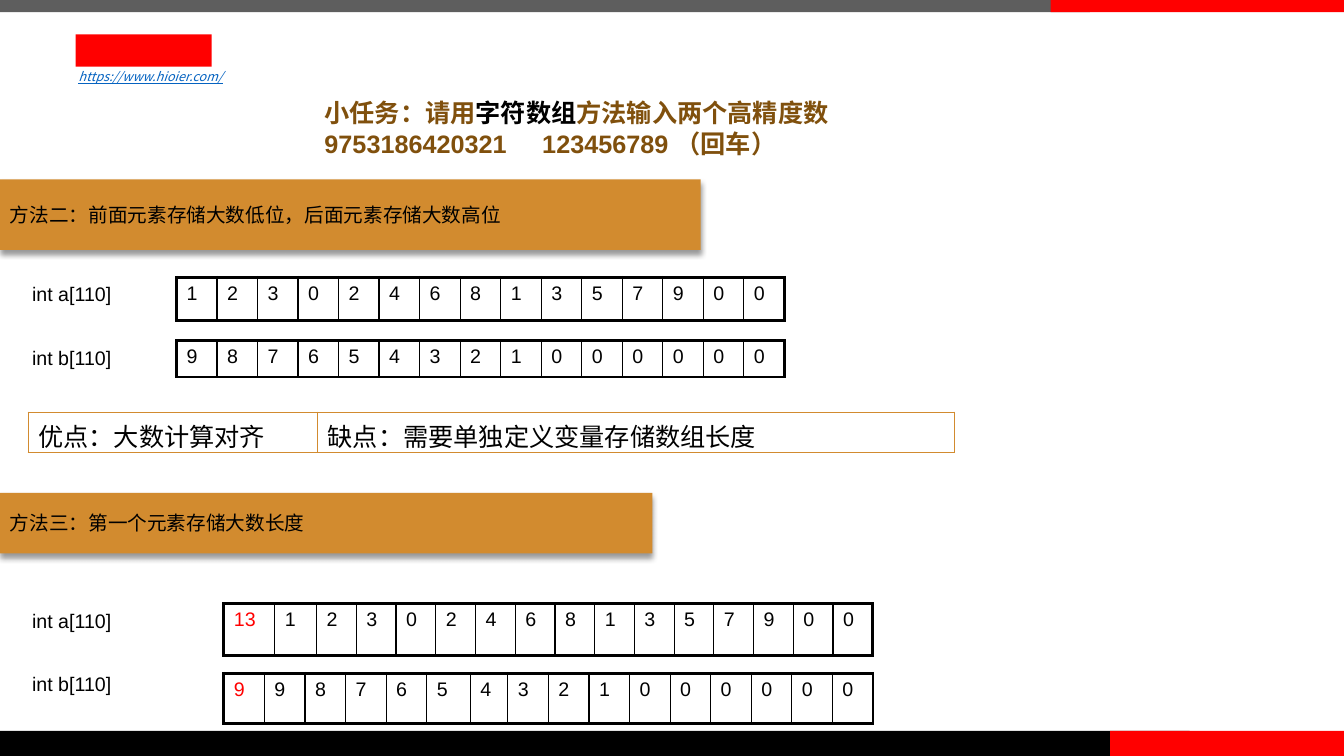
from lxml import etree
from pptx import Presentation
from pptx.dml.color import RGBColor
from pptx.enum.shapes import MSO_SHAPE
from pptx.enum.text import MSO_ANCHOR, PP_ALIGN
from pptx.oxml.ns import qn
from pptx.util import Inches, Pt

BLACK = RGBColor(0x00, 0x00, 0x00)
GRAY = RGBColor(0x5E, 0x5E, 0x5E)
RED = RGBColor(0xFF, 0x00, 0x00)
ORANGE = RGBColor(0xD2, 0x8B, 0x2F)
BROWN = RGBColor(0x80, 0x50, 0x0D)
LINK_BLUE = RGBColor(0x05, 0x63, 0xC1)
CJK_FONT = "Noto Sans CJK SC"

BODY = {"name": "Arial", "size": Pt(14)}
TASK = {"name": "Arial", "size": Pt(18), "bold": True}
COMPARE = {"name": "Arial", "size": Pt(18)}
BANNER = {"name": "Calibri", "size": Pt(14)}
LINK = {"name": CJK_FONT, "size": Pt(9), "italic": True, "underline": True}


def add_run(p, text, fmt, color=BLACK):
    r = p.add_run()
    r.text = text
    for key, value in fmt.items():
        setattr(r.font, key, value)
    r.font.color.rgb = color
    etree.SubElement(r.font._element, qn("a:ea"), typeface=CJK_FONT)


def add_text(s, box, text, fmt, color=BLACK):
    tf = s.shapes.add_textbox(*map(Inches, box)).text_frame
    tf.word_wrap = True
    add_run(tf.paragraphs[0], text, fmt, color)
    return tf


def add_bar(s, box, color):
    sp = s.shapes.add_shape(MSO_SHAPE.RECTANGLE, *map(Inches, box))
    sp.shadow.inherit = False
    sp.fill.solid()
    sp.fill.fore_color.rgb = color
    sp.line.fill.background()
    return sp


def add_banner(s, box, text):
    sp = add_bar(s, box, ORANGE)
    effects = sp._element.spPr.find(qn("a:effectLst"))
    shadow = etree.SubElement(effects, qn("a:outerShdw"), blurRad=str(Pt(4)),
                              dist=str(Pt(3)), dir="5400000", rotWithShape="0")
    clr = etree.SubElement(shadow, qn("a:srgbClr"), val=str(BLACK))
    etree.SubElement(clr, qn("a:alpha"), val="40000")
    tf = sp.text_frame
    tf.word_wrap = True
    tf.vertical_anchor = MSO_ANCHOR.MIDDLE
    p = tf.paragraphs[0]
    p.alignment = PP_ALIGN.LEFT
    add_run(p, text, BANNER)


def set_borders(cell, color, widths):
    tcPr = cell._tc.get_or_add_tcPr()
    for i, (side, width) in enumerate(zip("LRTB", widths)):
        ln = etree.Element(qn(f"a:ln{side}"), w=str(Pt(width)))
        fill = etree.SubElement(ln, qn("a:solidFill"))
        etree.SubElement(fill, qn("a:srgbClr"), val=str(color))
        tcPr.insert(i, ln)


def add_row(s, box, texts, weights, fmt, line, outer, first=BLACK):
    last = len(texts) - 1
    frame = s.shapes.add_table(1, len(texts), *map(Inches, box))
    table = frame.table
    table.first_row = table.horz_banding = False
    table.rows[0].height = Inches(box[3])
    for i, (text, weight) in enumerate(zip(texts, weights)):
        table.columns[i].width = Inches(box[2] * weight / sum(weights))
        cell = table.cell(0, i)
        cell.fill.background()
        left = outer if i == 0 else 1
        right = outer if i == last else 1
        set_borders(cell, line, (left, right, outer, outer))
        add_run(cell.text_frame.paragraphs[0], text, fmt, first if i == 0 else BLACK)
    return table


def add_array(s, label, label_top, box, values, weights, first=BLACK):
    add_text(s, (0.22, label_top, 2.5, 0.34), label, BODY)
    add_row(s, box, values, weights, BODY, BLACK, 2.25, first)


def add_task(s):
    tf = add_text(s, (3.12, 0.92, 7.77, 0.79), "小任务：请用", TASK, BROWN)
    p = tf.paragraphs[0]
    add_run(p, "字符数组", TASK)
    add_run(p, "方法输入两个高精度数", TASK, BROWN)
    p = tf.add_paragraph()
    tabs = etree.SubElement(p._p.get_or_add_pPr(), qn("a:tabLst"))
    etree.SubElement(tabs, qn("a:tab"), pos=str(Inches(2.16)), algn="l")
    add_run(p, "9753186420321\t123456789 （回车）", TASK, BROWN)


def main():
    prs = Presentation()
    prs.slide_width, prs.slide_height = Inches(13.33), Inches(7.5)
    s = prs.slides.add_slide(prs.slide_layouts[6])

    for box, color in (
        ((0, 0, 10.81, 0.12), GRAY),
        ((0, 7.25, 11.8, 0.25), BLACK),
        ((11.01, 7.25, 2.32, 0.25), RED),
        ((10.42, 0, 2.91, 0.12), RED),
        ((0.75, 0.34, 1.35, 0.32), RED),
    ):
        add_bar(s, box, color)

    add_text(s, (0.68, 0.63, 6.67, 0.25), "https://www.hioier.com/", LINK, LINK_BLUE)
    add_task(s)

    add_banner(s, (0, 1.78, 6.95, 0.7), "方法二：前面元素存储大数低位，后面元素存储大数高位")
    add_banner(s, (0, 4.89, 6.47, 0.6), "方法三：第一个元素存储大数长度")

    a_digits = list("123024681357900")
    b_digits = list("987654321000000")
    add_array(s, "int a[110]", 2.75, (1.75, 2.75, 6.03, 0.43), a_digits, [1] * 15)
    add_array(s, "int b[110]", 3.38, (1.75, 3.38, 6.03, 0.36), b_digits, [1] * 15)
    add_array(s, "int a[110]", 5.99, (2.22, 5.99, 6.44, 0.51), ["13"] + a_digits,
              [0.5, 0.41] + [0.39] * 14, RED)
    add_array(s, "int b[110]", 6.62, (2.22, 6.68, 6.44, 0.5), ["9"] + b_digits,
              [0.4] * 5 + [0.43, 0.37] + [0.4] * 9, RED)

    table = add_row(s, (0.28, 4.09, 9.19, 0.4),
                    ["优点：大数计算对齐", "缺点：需要单独定义变量存储数组长度"],
                    [2.87, 6.32], COMPARE, ORANGE, 1)
    for cell in table.iter_cells():
        cell.margin_bottom = 0

    prs.save("out.pptx")


if __name__ == "__main__":
    main()
